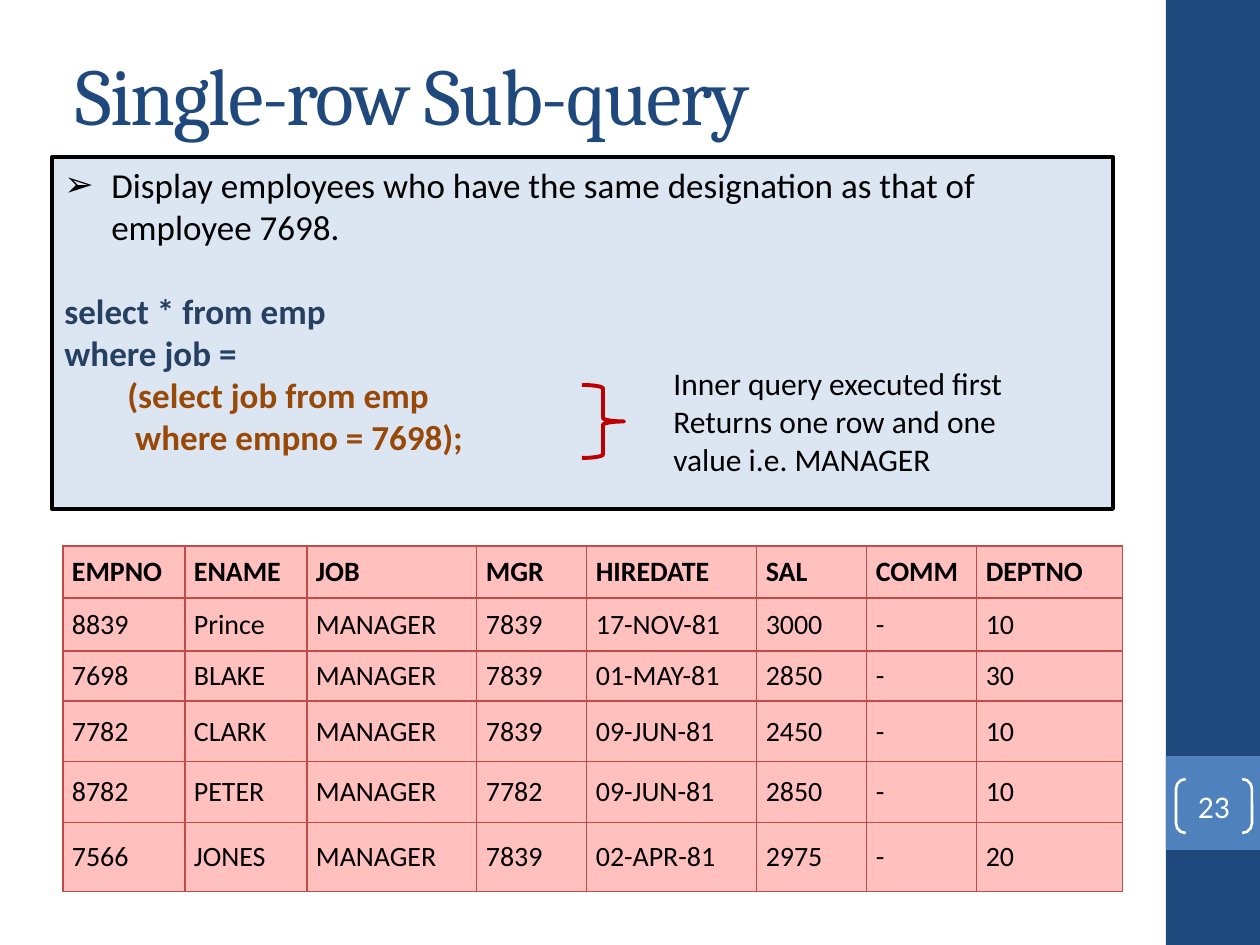
from lxml.etree import SubElement
from pptx import Presentation
from pptx.dml.color import RGBColor
from pptx.enum.shapes import MSO_SHAPE as Shape
from pptx.enum.text import MSO_ANCHOR as Anchor, PP_ALIGN as Align
from pptx.oxml.ns import qn
from pptx.util import Emu, Pt

NAVY = RGBColor(0x1F, 0x49, 0x7D)
BLUE = RGBColor(0x4F, 0x81, 0xBD)
PALE_BLUE = RGBColor(0xDC, 0xE6, 0xF2)
CODE_BLUE = RGBColor(0x25, 0x40, 0x61)
BROWN = RGBColor(0x98, 0x48, 0x07)
RED = RGBColor(0xC0, 0x00, 0x00)
PINK = RGBColor(0xFF, 0xC0, 0xBE)
BORDER = RGBColor(0xBF, 0x4C, 0x48)
WHITE = RGBColor(0xFF, 0xFF, 0xFF)
BLACK = RGBColor(0, 0, 0)

TITLE = "Single-row Sub-query"
PAGE = "23"
QUERY = [
    ("Display employees who have the same designation as that of employee 7698.", BLACK, False),
    ("select * from emp", CODE_BLUE, True),
    ("where job =", CODE_BLUE, True),
    ("\t(select job from emp", BROWN, True),
    ("\t where empno = 7698);", BROWN, True),
]
NOTE = [
    ("Inner query executed first", BLACK, False),
    ("Returns one row and one value i.e. MANAGER", BLACK, False),
]
ROWS = [
    ("EMPNO", "ENAME", "JOB", "MGR", "HIREDATE", "SAL", "COMM", "DEPTNO"),
    ("8839", "Prince", "MANAGER", "7839", "17-NOV-81", "3000", "-", "10"),
    ("7698", "BLAKE", "MANAGER", "7839", "01-MAY-81", "2850", "-", "30"),
    ("7782", "CLARK", "MANAGER", "7839", "09-JUN-81", "2450", "-", "10"),
    ("8782", "PETER", "MANAGER", "7782", "09-JUN-81", "2850", "-", "10"),
    ("7566", "JONES", "MANAGER", "7839", "02-APR-81", "2975", "-", "20"),
]
COL_WIDTHS = [122, 122, 170, 110, 170, 110, 110, 146]
ROW_HEIGHTS = [52, 53, 50, 61, 61, 69]


def px(n):
    return Emu(round(n * 914400 / 126))


def add_shape(s, kind, box, fill=None, line=None, width=0):
    sp = s.shapes.add_shape(kind, *map(px, box))
    sp.shadow.inherit = False
    if fill is None:
        sp.fill.background()
    else:
        sp.fill.solid()
        sp.fill.fore_color.rgb = fill
    if line is None:
        sp.line.fill.background()
    else:
        sp.line.color.rgb = line
        sp.line.width = Pt(width)
    return sp


def write(tf, lines, size, font="Calibri", align=Align.LEFT, anchor=Anchor.TOP):
    tf.word_wrap = True
    tf.vertical_anchor = anchor
    tf.text = "\n".join(text for text, _, _ in lines)
    for p, (_, color, bold) in zip(tf.paragraphs, lines):
        p.alignment = align
        for r in p.runs:
            r.font.name, r.font.size, r.font.bold = font, Pt(size), bold
            r.font.color.rgb = color


def add_bullet(p, char, indent):
    pPr = p._p.get_or_add_pPr()
    pPr.set("marL", str(px(indent)))
    pPr.set("indent", str(-px(indent)))
    SubElement(pPr, qn("a:buFont"), typeface="Arial")
    SubElement(pPr, qn("a:buChar"), char=char)


def style_cell(cell, text, header):
    cell.margin_left = cell.margin_right = px(9)
    cell.margin_top = cell.margin_bottom = px(9 if header else 4)
    tcPr = cell._tc.get_or_add_tcPr()
    for side in ("lnL", "lnR", "lnT", "lnB"):
        ln = SubElement(tcPr, qn(f"a:{side}"), w=str(Pt(0.75)))
        SubElement(SubElement(ln, qn("a:solidFill")), qn("a:srgbClr"), val=str(BORDER))
    cell.fill.solid()
    cell.fill.fore_color.rgb = PINK
    write(cell.text_frame, [(text, BLACK, header)], 16)
    cell.vertical_anchor = Anchor.BOTTOM if header else Anchor.MIDDLE


def add_employees(s, left, top):
    box = (left, top, sum(COL_WIDTHS), sum(ROW_HEIGHTS))
    table = s.shapes.add_table(len(ROWS), len(COL_WIDTHS), *map(px, box)).table
    table.first_row = table.horz_banding = False
    for col, width in zip(table.columns, COL_WIDTHS):
        col.width = px(width)
    for row, height, values in zip(table.rows, ROW_HEIGHTS, ROWS):
        row.height = px(height)
        for cell, text in zip(row.cells, values):
            style_cell(cell, text, values is ROWS[0])


def main():
    """Build the single-row sub-query slide."""
    prs = Presentation()
    prs.slide_width, prs.slide_height = px(1260), px(945)
    s = prs.slides.add_slide(prs.slide_layouts[6])

    add_shape(s, Shape.RECTANGLE, (1166, 0, 94, 945), NAVY)
    add_shape(s, Shape.RECTANGLE, (1166, 756, 94, 94), BLUE)
    page = add_shape(s, Shape.DOUBLE_BRACKET, (1176, 779, 76, 54), None, WHITE, 1.5)
    page.adjustments[0] = 0.18
    tf = page.text_frame
    tf.margin_left = tf.margin_right = tf.margin_top = tf.margin_bottom = 0
    write(tf, [(PAGE, WHITE, False)], 18, align=Align.CENTER, anchor=Anchor.MIDDLE)

    title = s.shapes.add_textbox(*map(px, (63, 38, 1050, 110))).text_frame
    write(title, [(TITLE, NAVY, False)], 46, "Cambria", anchor=Anchor.MIDDLE)
    title.paragraphs[0].runs[0].font._element.set("spc", "-100")

    query = add_shape(s, Shape.RECTANGLE, (52, 157, 1061, 352), PALE_BLUE, BLACK, 2.25).text_frame
    write(query, QUERY, 20)
    add_bullet(query.paragraphs[0], "➢", 47)
    query.paragraphs[1].space_before = Pt(24)

    add_employees(s, 63, 546)
    add_shape(s, Shape.RIGHT_BRACE, (582, 385, 42, 73), None, RED, 2.25)
    note = s.shapes.add_textbox(*map(px, (661, 358, 357, 127))).text_frame
    write(note, NOTE, 18)

    prs.save("out.pptx")


if __name__ == "__main__":
    main()
